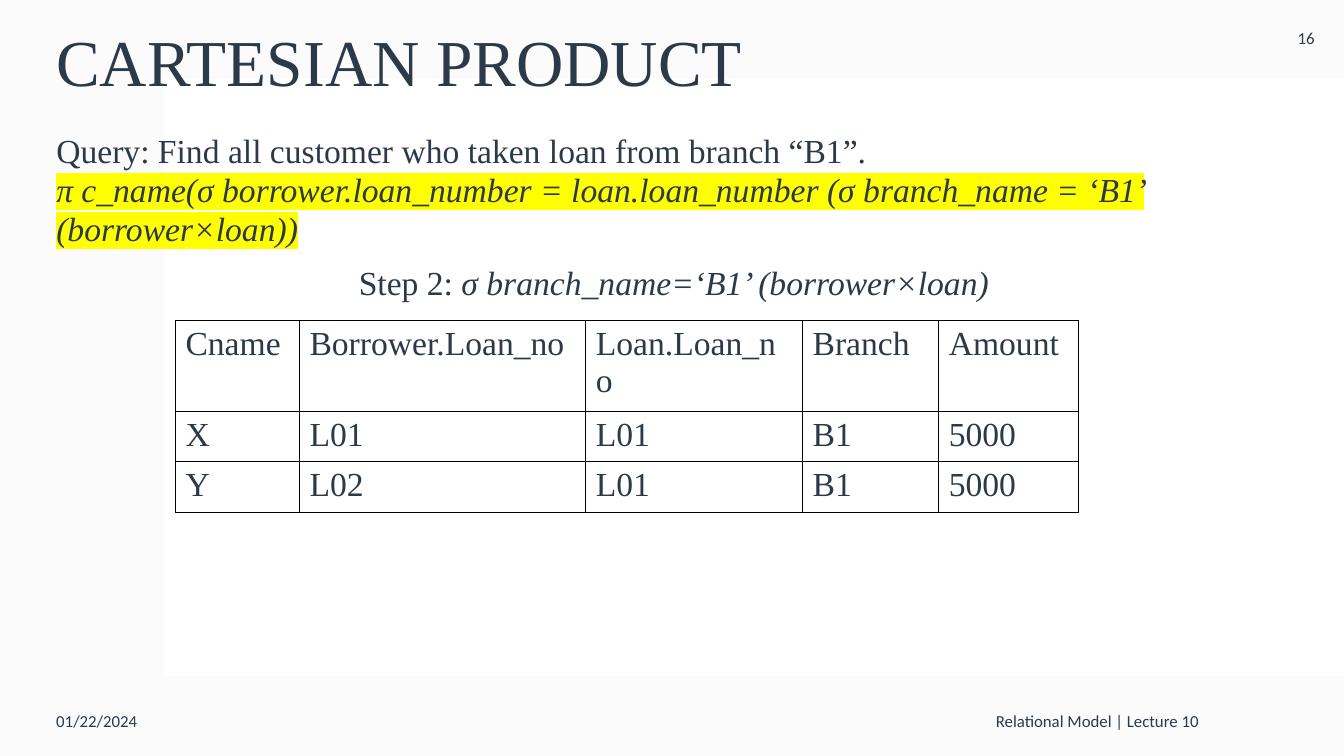
from lxml import etree
from pptx import Presentation
from pptx.dml.color import RGBColor
from pptx.enum.shapes import MSO_SHAPE as Shape
from pptx.enum.text import MSO_ANCHOR as Anchor, PP_ALIGN as Align
from pptx.oxml import parse_xml
from pptx.oxml.ns import nsdecls, qn
from pptx.util import Inches, Pt

INK = RGBColor(0x2C, 0x39, 0x48)
WHITE = RGBColor(0xFF, 0xFF, 0xFF)
MIST = RGBColor(0xF4, 0xF4, 0xF4)
BLACK = RGBColor(0, 0, 0)
YELLOW = RGBColor(0xFF, 0xFF, 0)
SERIF, SANS = "Times New Roman", "Calibri"
WIDE, HIGH = 13.33, 7.5
LEFT = 0.46

COLS = [1.23, 2.84, 2.15, 1.35, 1.39]
ROW = 0.41
LOANS = [
    ["Cname", "Borrower.Loan_no", "Loan.Loan_no", "Branch", "Amount"],
    ["X", "L01", "L01", "B1", "5000"],
    ["Y", "L02", "L01", "B1", "5000"],
]


def style(run, size, face, slant=False):
    font = run.font
    font.size, font.name = Pt(size), face
    font.bold, font.italic = False, slant
    font.color.rgb = INK


def mark(run):
    """Highlight a run that already has its colour."""
    light = parse_xml(f'<a:highlight {nsdecls("a")}><a:srgbClr val="{YELLOW}"/></a:highlight>')
    run._r.get_or_add_rPr().find(qn("a:solidFill")).addnext(light)


def panel(slide, box, color, alpha=None):
    rect = slide.shapes.add_shape(Shape.RECTANGLE, *map(Inches, box))
    rect.shadow.inherit = False
    rect.line.fill.background()
    rect.fill.solid()
    rect.fill.fore_color.rgb = color
    if alpha:
        tint = rect.fill._xPr.find(qn("a:solidFill"))[0]
        etree.SubElement(tint, qn("a:alpha")).set("val", str(alpha * 1000))


def frame(slide, box, anchor=Anchor.MIDDLE):
    text = slide.shapes.add_textbox(*map(Inches, box)).text_frame
    text.word_wrap = True
    text.vertical_anchor = anchor
    return text


def label(slide, box, words, size=12, face=SANS, align=Align.LEFT):
    para = frame(slide, box).paragraphs[0]
    para.text = words
    para.alignment = align
    style(para.runs[0], size, face)
    return para


def query(slide, box):
    """Question and step: a plain run, then a formula in italics."""
    text = frame(slide, box, Anchor.TOP)
    ask, step = text.paragraphs[0], text.add_paragraph()
    step.space_before = Pt(10)
    step._p.get_or_add_pPr().set("marL", str(Inches(3)))
    parts = [
        (ask, "Query: Find all customer who taken loan from branch “B1”.\v",
         "π c_name(σ borrower.loan_number = loan.loan_number "
         "(σ branch_name = ‘B1’ (borrower×loan))"),
        (step, "Step 2: ", "σ branch_name=‘B1’ (borrower×loan)"),
    ]
    for para, lead, rule in parts:
        para.text = lead
        para.line_spacing = Pt(28)
        style(para.runs[0], 24, SERIF)
        run = para.add_run()
        run.text = rule
        style(run, 24, SERIF, slant=True)
    mark(ask.runs[-1])


def border(cell):
    props = cell._tc.get_or_add_tcPr()
    for side in ("lnL", "lnR", "lnT", "lnB"):
        props.append(parse_xml(
            f'<a:{side} {nsdecls("a")} w="{Pt(1)}"><a:solidFill>'
            f'<a:srgbClr val="{BLACK}"/></a:solidFill></a:{side}>'))


def grid(slide, left, top):
    size = map(Inches, (left, top, sum(COLS), ROW * len(LOANS)))
    table = slide.shapes.add_table(len(LOANS), len(COLS), *size).table
    table.first_row = table.horz_banding = False
    for col, width in zip(table.columns, COLS):
        col.width = Inches(width)
    for row, words in zip(table.rows, LOANS):
        row.height = Inches(ROW)
        for cell, word in zip(row.cells, words):
            cell.text = word
            style(cell.text_frame.paragraphs[0].runs[0], 24, SERIF)
            border(cell)
            cell.fill.background()


def footer(slide, top, high):
    label(slide, (LEFT, top, 3, high), "01/22/2024")
    label(slide, (4.12, top, 7.87, high), "Relational Model | Lecture 10", align=Align.RIGHT)


def main():
    deck = Presentation()
    deck.slide_width, deck.slide_height = Inches(WIDE), Inches(HIGH)
    slide = deck.slides.add_slide(deck.slide_layouts[6])

    # Backdrop
    panel(slide, (0, 0, WIDE, HIGH), MIST, alpha=35)
    panel(slide, (1.62, 0.78, WIDE - 1.62, 5.93), WHITE)

    # Title and query
    title = label(slide, (LEFT, 0.4, 11.53, 0.5), "CARTESIAN PRODUCT", 46.8, SERIF)
    title.line_spacing = 0.9
    query(slide, (LEFT, 1.25, 12.41, 5.34))

    # Footer and page number
    footer(slide, 6.8, 0.7)
    label(slide, (WIDE - 0.75, 0, 0.75, 0.75), "16", align=Align.CENTER)

    # Result of the step
    grid(slide, 1.74, 3.18)
    deck.save("out.pptx")


if __name__ == "__main__":
    main()
